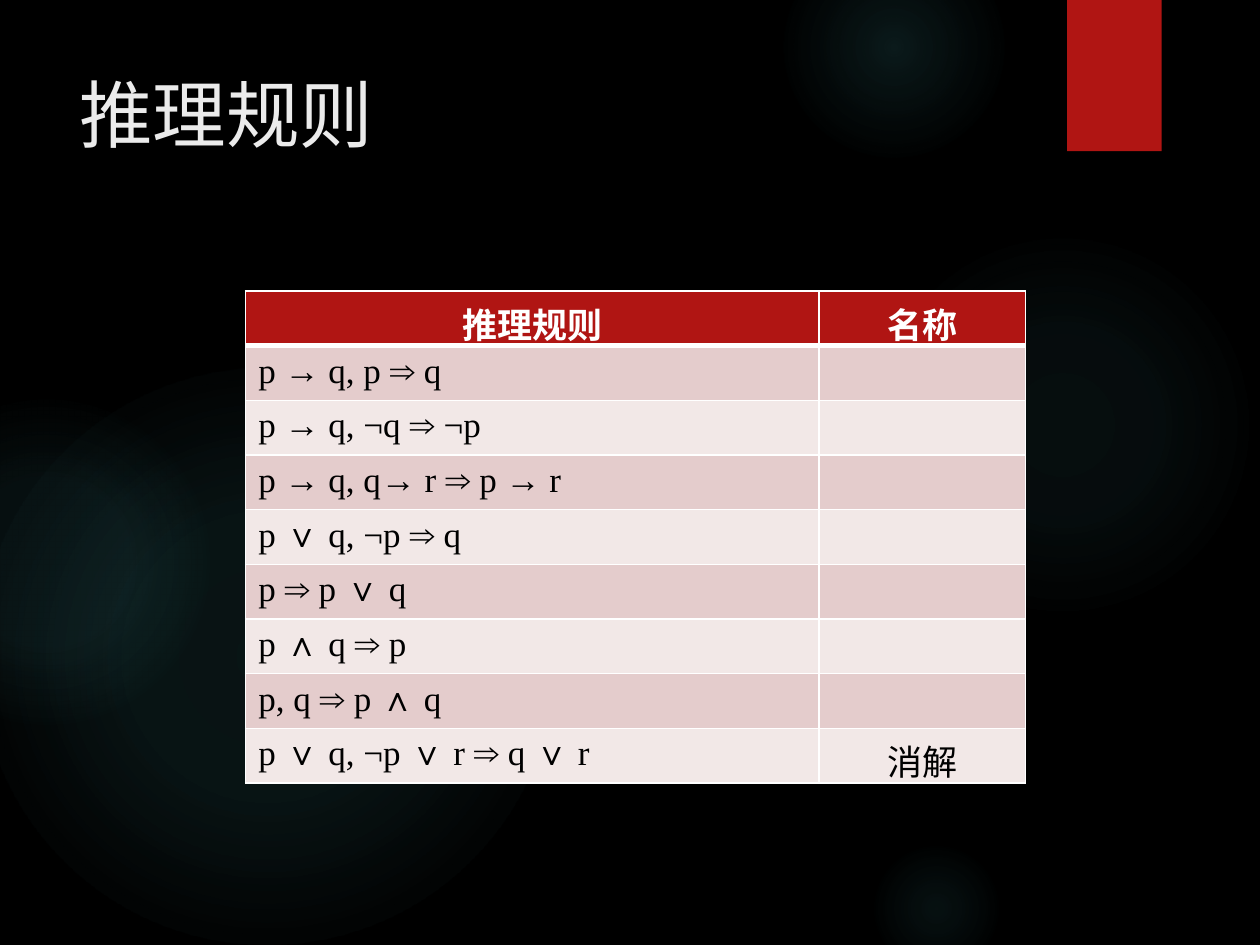
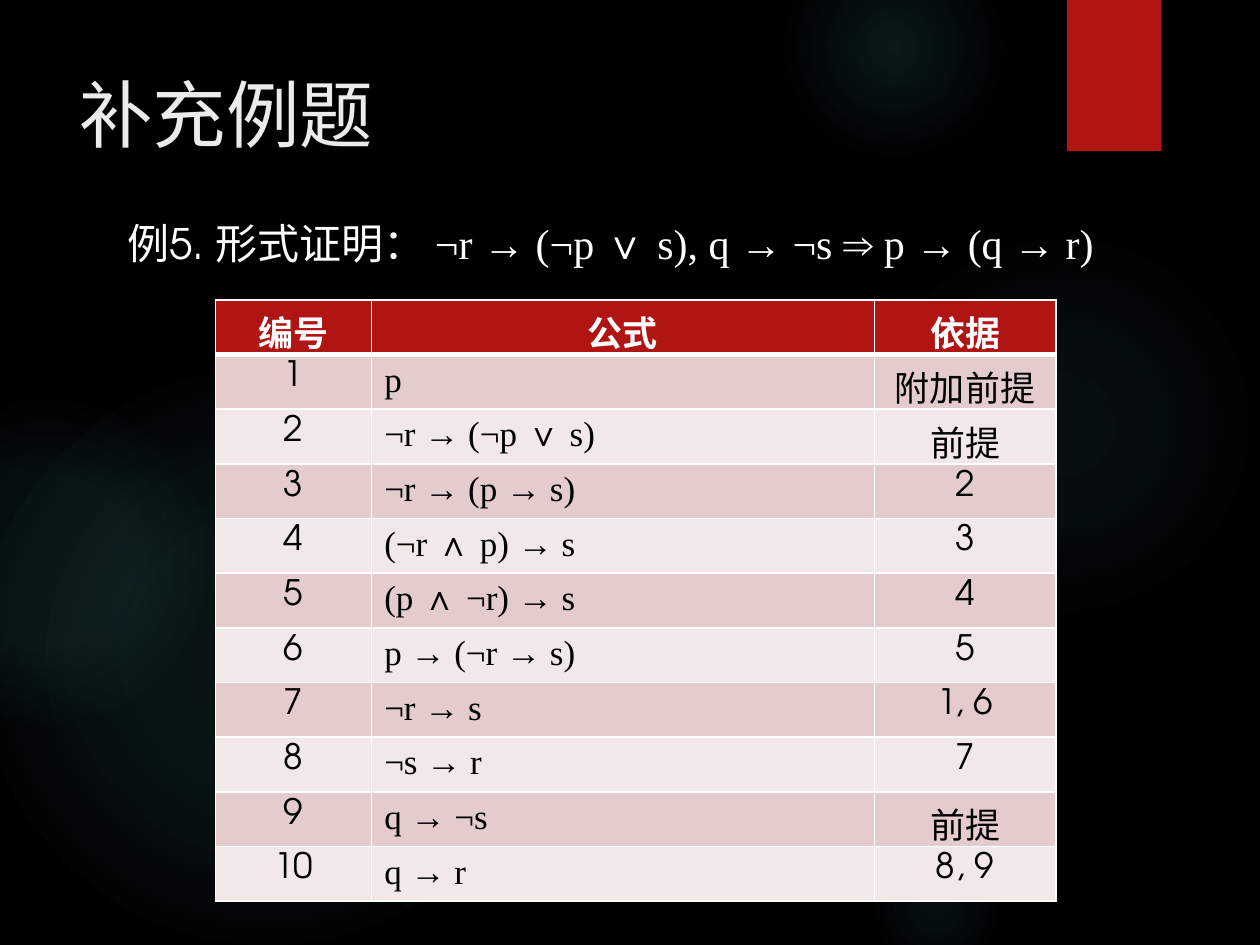
from lxml import etree
from pptx import Presentation
from pptx.dml.color import RGBColor
from pptx.enum import shapes, text
from pptx.oxml import parse_xml
from pptx.oxml.ns import nsdecls, qn
from pptx.util import Inches, Pt

SANS = "TeX Gyre Adventor"
SERIF = "Times New Roman"
BLACK = RGBColor(0x00, 0x00, 0x00)
WHITE = RGBColor(0xFF, 0xFF, 0xFF)
TITLE_GREY = RGBColor(0xEB, 0xEB, 0xEB)
RED = RGBColor(0xB0, 0x15, 0x13)
GLOW = RGBColor(0x50, 0xB9, 0xC1)
BANDS = (RGBColor(0xE4, 0xCC, 0xCC), RGBColor(0xF2, 0xE8, 0xE7))
ROW_HEIGHT = 0.41

# left, top, diameter, then (position %, opacity %) of each gradient stop
GLOWS = [
    (6.89, 1.83, 3.08, ((0, 7), (36, 6), (69, 0))),
    (6.22, -0.5, 1.75, ((0, 14), (36, 7), (73, 0))),
    (6.89, 6.67, 1.08, ((0, 9), (36, 5), (66, 0))),
    (-0.17, 2.92, 4.58, ((0, 11), (36, 10), (75, 0))),
    (-0.92, 3.17, 2.58, ((0, 8), (36, 8), (72, 0))),
]

SLIDES = [
    {
        "title": "推理规则",
        "body": [],
        "table": {
            "at": (1.95, 2.31),
            "widths": (4.55, 1.64),
            "formula_column": 0,
            "rows": [
                ("推理规则", "名称"),
                ("p → q, p ⇒ q", ""),
                ("p → q, ¬q ⇒ ¬p", ""),
                ("p → q, q→ r ⇒ p → r", ""),
                ("p ∨ q, ¬p ⇒ q", ""),
                ("p ⇒ p ∨ q", ""),
                ("p ∧ q ⇒ p", ""),
                ("p, q ⇒ p ∧ q", ""),
                ("p ∨ q, ¬p ∨ r ⇒ q ∨ r", "消解"),
            ],
        },
    },
    {
        "title": "补充例题",
        "body": [
            ("例5. 形式证明： ", SANS),
            ("¬r → (¬p ∨ s), q → ¬s ⇒ p → (q → r)", SERIF),
        ],
        "table": {
            "at": (1.71, 2.38),
            "widths": (1.24, 3.99, 1.44),
            "formula_column": 1,
            "rows": [
                ("编号", "公式", "依据"),
                ("1", "p", "附加前提"),
                ("2", "¬r → (¬p ∨ s)", "前提"),
                ("3", "¬r → (p → s)", "2"),
                ("4", "(¬r ∧ p) → s", "3"),
                ("5", "(p ∧ ¬r) → s", "4"),
                ("6", "p → (¬r → s)", "5"),
                ("7", "¬r → s", "1, 6"),
                ("8", "¬s → r", "7"),
                ("9", "q → ¬s", "前提"),
                ("10", "q → r", "8, 9"),
            ],
        },
    },
]


def write(paragraph, words, font=SANS, size=20, color=BLACK, bold=False, align=None):
    run = paragraph.add_run()
    run.text = words
    run.font.name = font
    run.font.size = Pt(size)
    run.font.color.rgb = color
    run.font.bold = bold
    if align is not None:
        paragraph.alignment = align


def add_text_box(slide, left, top, width, height):
    """Add a wrapping text box and return its first paragraph."""
    frame = slide.shapes.add_textbox(
        Inches(left), Inches(top), Inches(width), Inches(height)).text_frame
    frame.word_wrap = True
    frame.vertical_anchor = text.MSO_ANCHOR.TOP
    return frame.paragraphs[0]


def add_plain_shape(slide, kind, left, top, width, height):
    shape = slide.shapes.add_shape(
        kind, Inches(left), Inches(top), Inches(width), Inches(height))
    shape.shadow.inherit = False
    shape.line.fill.background()
    return shape


def add_glow(slide, left, top, diameter, stops):
    shape = add_plain_shape(slide, shapes.MSO_SHAPE.OVAL, left, top, diameter, diameter)
    stop_xml = "".join(
        f'<a:gs pos="{position * 1000}"><a:srgbClr val="{GLOW}">'
        f'<a:alpha val="{opacity * 1000}"/></a:srgbClr></a:gs>'
        for position, opacity in stops)
    gradient = parse_xml(
        f'<a:gradFill {nsdecls("a")} rotWithShape="1"><a:gsLst>{stop_xml}</a:gsLst>'
        '<a:path path="circle"><a:fillToRect l="50000" t="50000" r="50000" b="50000"/>'
        '</a:path></a:gradFill>')
    shape.fill.solid()
    properties = shape.element.spPr
    properties.replace(properties.find(qn("a:solidFill")), gradient)


def add_backdrop(slide):
    slide.background.fill.solid()
    slide.background.fill.fore_color.rgb = BLACK
    for glow in GLOWS:
        add_glow(slide, *glow)
    ribbon = add_plain_shape(slide, shapes.MSO_SHAPE.RECTANGLE, 8.47, 0, 0.75, 1.2)
    ribbon.fill.solid()
    ribbon.fill.fore_color.rgb = RED


def set_borders(cell, top, bottom):
    """Draw white cell borders; top and bottom are widths in points."""
    properties = cell._tc.get_or_add_tcPr()
    for side, width in (("L", 1), ("R", 1), ("T", top), ("B", bottom)):
        line = etree.SubElement(properties, qn(f"a:ln{side}"), w=str(Pt(width)))
        fill = etree.SubElement(line, qn("a:solidFill"))
        etree.SubElement(fill, qn("a:srgbClr"), val=str(WHITE))


def add_rule_table(slide, at, widths, formula_column, rows):
    left, top = at
    table = slide.shapes.add_table(
        len(rows), len(widths), Inches(left), Inches(top),
        Inches(sum(widths)), Inches(ROW_HEIGHT * len(rows))).table
    for column, width in zip(table.columns, widths):
        column.width = Inches(width)
    for row_index, row in enumerate(rows):
        table.rows[row_index].height = Inches(ROW_HEIGHT)
        header = row_index == 0
        for column_index, words in enumerate(row):
            cell = table.cell(row_index, column_index)
            set_borders(cell, top=3 if row_index == 1 else 1, bottom=3 if header else 1)
            cell.fill.solid()
            cell.fill.fore_color.rgb = RED if header else BANDS[(row_index - 1) % 2]
            if not words:
                continue
            formula = column_index == formula_column and not header
            write(cell.text_frame.paragraphs[0], words,
                  font=SERIF if formula else SANS,
                  color=WHITE if header else BLACK, bold=header,
                  align=text.PP_ALIGN.LEFT if formula else text.PP_ALIGN.CENTER)


def main():
    presentation = Presentation()
    presentation.slide_width = Inches(10)
    presentation.slide_height = Inches(7.5)
    for content in SLIDES:
        slide = presentation.slides.add_slide(presentation.slide_layouts[6])
        add_backdrop(slide)
        write(add_text_box(slide, 0.53, 0.5, 7.72, 1.53), content["title"],
              size=42, color=TITLE_GREY)
        if content["body"]:
            paragraph = add_text_box(slide, 0.91, 1.68, 7.98, 5.15)
            for words, font in content["body"]:
                write(paragraph, words, font=font, size=24, color=WHITE)
        add_rule_table(slide, **content["table"])
    presentation.save("out.pptx")


if __name__ == "__main__":
    main()
